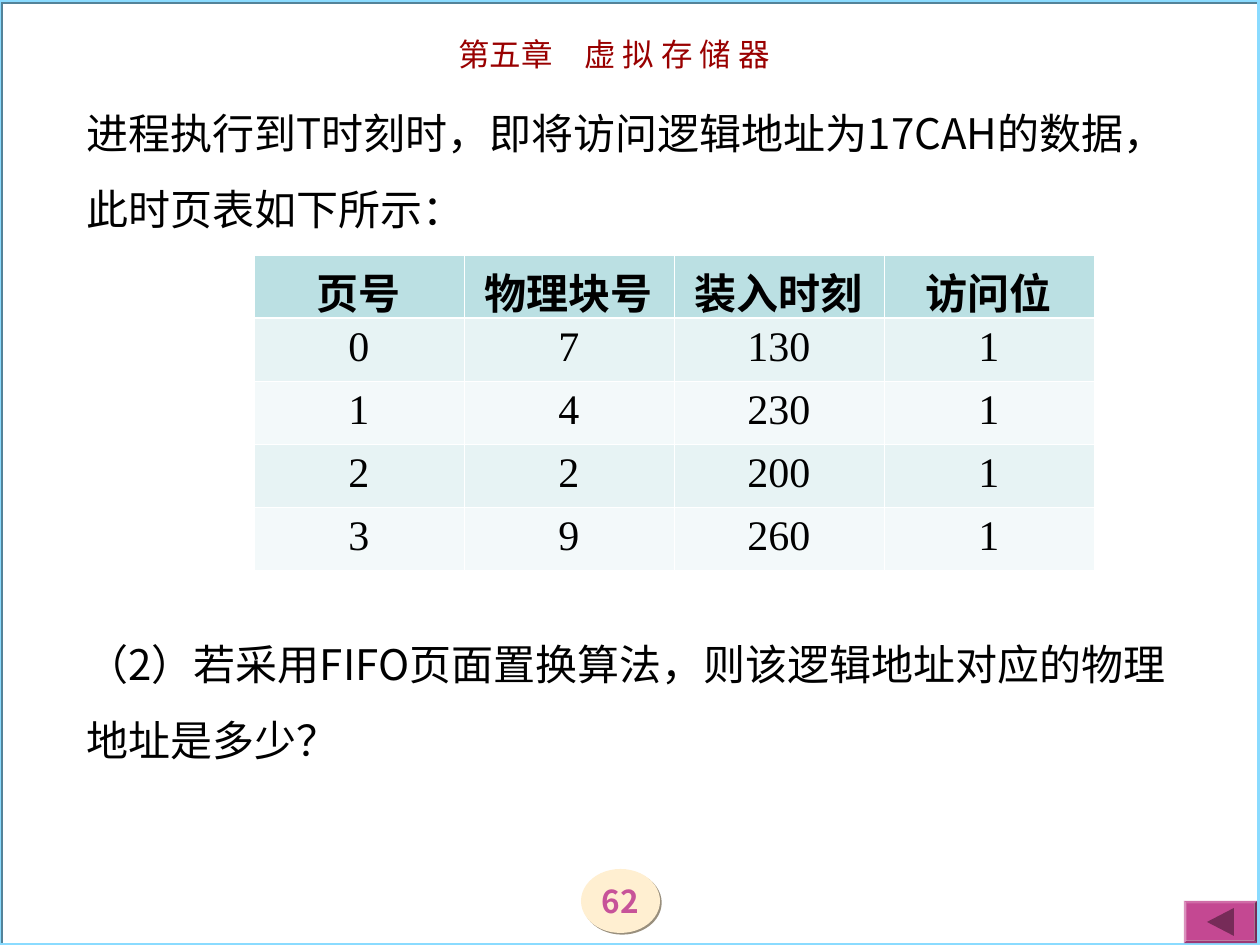
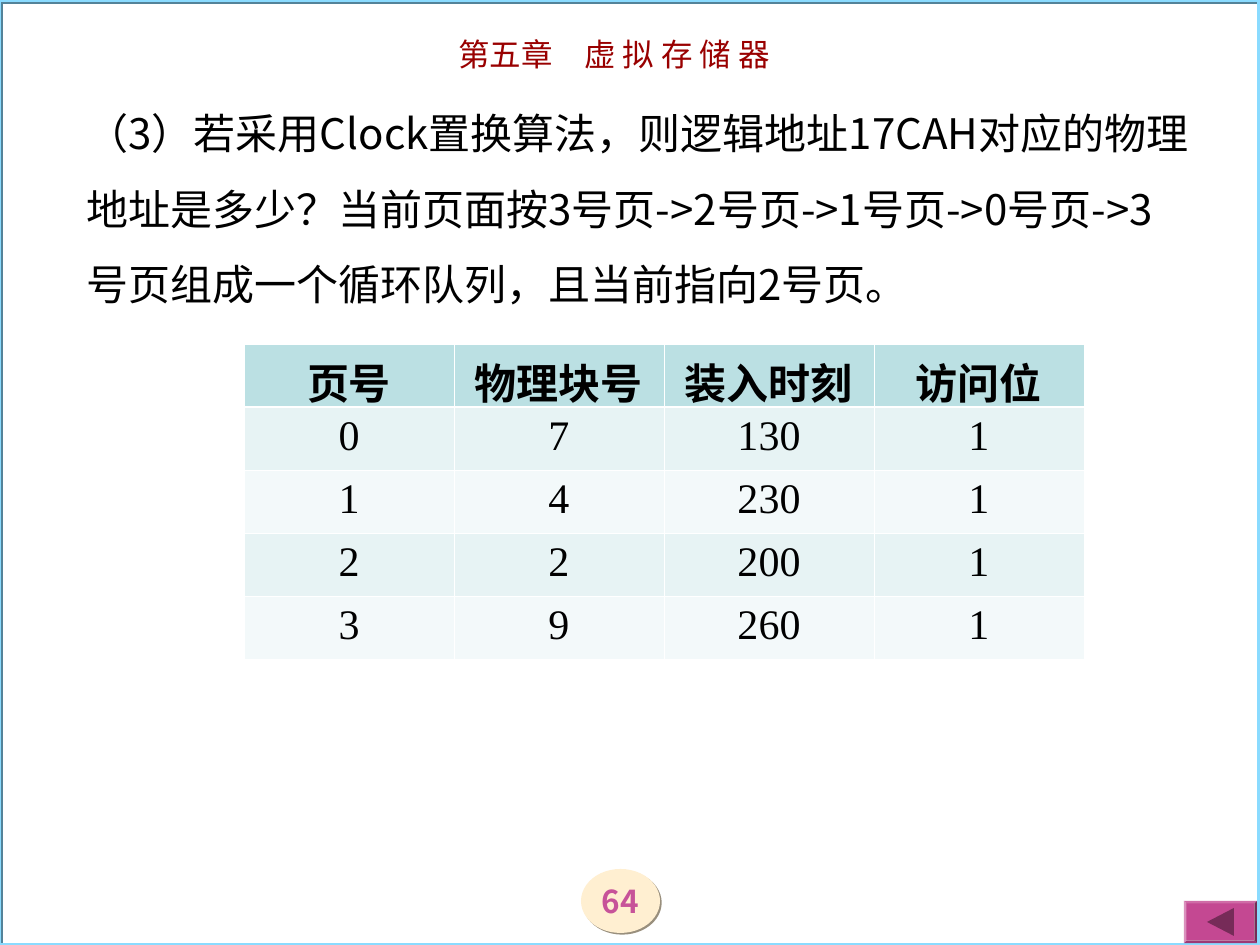
from dataclasses import dataclass

from lxml.etree import SubElement as Sub
from pptx import Presentation
from pptx.dml.color import RGBColor as Color
from pptx.enum.shapes import MSO_SHAPE as Shape
from pptx.enum.text import MSO_ANCHOR as Anchor, MSO_AUTO_SIZE as Fit, PP_ALIGN as Align
from pptx.oxml.ns import qn
from pptx.util import Emu, Pt

WHITE = Color(0xFF, 0xFF, 0xFF)
BLACK = Color(0x00, 0x00, 0x00)
RED = Color(0x99, 0x00, 0x00)
CREAM = Color(0xFF, 0xEF, 0xD1)
TAN = Color(0x99, 0x8F, 0x7D)
PINK = Color(0xC7, 0x53, 0x99)
ROSE = Color(0xC4, 0x48, 0x92)
PLUM = Color(0x76, 0x2B, 0x58)
SKY = Color(0x8A, 0xDB, 0xFF)
STEEL = Color(0x53, 0x83, 0x99)
TEAL = Color(0xBB, 0xE0, 0xE3)
BANDS = (Color(0xF3, 0xF9, 0xFA), Color(0xE7, 0xF3, 0xF4))

SANS = "Noto Sans CJK SC"
GOTHIC = "Noto Sans CJK JP"
SERIF = "Times New Roman"

CHAPTER = "第五章　虚 拟 存 储 器"
ROWS = (
    ("页号", "物理块号", "装入时刻", "访问位"),
    ("0", "7", "130", "1"),
    ("1", "4", "230", "1"),
    ("2", "2", "200", "1"),
    ("3", "9", "260", "1"),
)
COL, ROW = 210, 63
THIN, THICK = 0.45, 1.47


@dataclass
class Box:
    left: int
    top: int
    width: int
    height: int

    def emu(self) -> tuple:
        return tuple(map(px, (self.left, self.top, self.width, self.height)))


@dataclass
class Page:
    number: str
    lines: tuple
    table: tuple


FRAME = Box(-1, 0, 1260, 945)
BADGE = Box(581, 869, 79, 64)
HEAD = Box(262, 29, 704, 50)
BODY = Box(74, 76, 1131, 784)
BUTTON = Box(1184, 901, 73, 42)
ARROW = ((1207, 922), (1234, 908), (1234, 936))

PAGES = (
    Page("62", (
        "进程执行到T时刻时，即将访问逻辑地址为17CAH的数据，此时页表如下所示：",
        "（2）若采用FIFO页面置换算法，则该逻辑地址对应的物理地址是多少？",
    ), (254, 255)),
    Page("64", (
        "（3）若采用Clock置换算法，则逻辑地址17CAH对应的物理地址是多少？"
        "当前页面按3号页->2号页->1号页->0号页->3号页组成一个循环队列，且当前指向2号页。",
    ), (244, 344)),
)


def px(count: int) -> Emu:
    return Emu(round(count * 914400 / 126))


def write(frame, *lines: str, size: int = 24, font: str = SANS, asian: str = SANS,
          color: Color = BLACK, bold: bool = False, align=Align.CENTER,
          anchor=Anchor.TOP, space: float = 1, gap: int = 0) -> None:
    frame.word_wrap = True
    frame.vertical_anchor = anchor
    for i, line in enumerate(lines):
        para = frame.add_paragraph() if i else frame.paragraphs[0]
        para.alignment = align
        para.line_spacing = space
        if i:
            para.space_before = Pt(gap)
        run = para.add_run()
        run.text = line
        run.font.size = Pt(size)
        run.font.name = font
        run.font.bold = bold
        run.font.color.rgb = color
        Sub(run.font._element, qn("a:ea"), typeface=asian)


def paint(shape, fill: Color | None = None, line: Color | None = None,
          width: float = 0, shade: Color | None = None):
    shape.shadow.inherit = False
    if fill is None:
        shape.fill.background()
    else:
        shape.fill.solid()
        shape.fill.fore_color.rgb = fill
    if line is None:
        shape.line.fill.background()
    else:
        shape.line.color.rgb = line
        shape.line.width = Pt(width)
    if shade is not None:
        effects = shape._element.spPr.find(qn("a:effectLst"))
        outer = Sub(effects, qn("a:outerShdw"), dist=str(Pt(1.4)), dir="2700000",
                    algn="ctr", rotWithShape="0")
        Sub(outer, qn("a:srgbClr"), val=str(shade))
    return shape


def border(cell, side: str, width: float) -> None:
    edge = Sub(cell._tc.get_or_add_tcPr(), qn(f"a:ln{side}"), w=str(Pt(width)))
    Sub(Sub(edge, qn("a:solidFill")), qn("a:srgbClr"), val=str(WHITE))


def base(slide, number: str) -> None:
    shapes = slide.shapes
    badge = paint(shapes.add_shape(Shape.OVAL, *BADGE.emu()), CREAM, shade=TAN)
    text = badge.text_frame
    text.margin_left = text.margin_right = text.margin_top = text.margin_bottom = 0
    write(text, number, size=18, color=PINK, bold=True, anchor=Anchor.MIDDLE)
    paint(shapes.add_shape(Shape.RECTANGLE, *FRAME.emu()), line=SKY, width=2.25, shade=STEEL)
    head = shapes.add_textbox(*HEAD.emu())
    write(head.text_frame, CHAPTER, size=18, font=GOTHIC, asian=GOTHIC, color=RED)
    button = paint(shapes.add_shape(Shape.BEVEL, *BUTTON.emu()), ROSE)
    button.adjustments[0] = 0.06
    start, *rest = [tuple(map(px, point)) for point in ARROW]
    path = shapes.build_freeform(*start)
    path.add_line_segments(rest, close=True)
    paint(path.convert_to_shape(), PLUM)


def body(slide, lines: tuple) -> None:
    title = slide.shapes.title
    title.left, title.top, title.width, title.height = BODY.emu()
    write(title.text_frame, *lines, align=Align.LEFT, space=1.5, gap=217)
    title.text_frame.auto_size = Fit.NONE


def grid(slide, left: int, top: int) -> None:
    box = Box(left, top, COL * len(ROWS[0]), ROW * len(ROWS))
    table = slide.shapes.add_table(len(ROWS), len(ROWS[0]), *box.emu()).table
    for r, row in enumerate(ROWS):
        for c, value in enumerate(row):
            cell = table.cell(r, c)
            write(cell.text_frame, value, font=SERIF, bold=r == 0)
            border(cell, "L", THIN)
            border(cell, "R", THIN)
            border(cell, "T", THICK if r == 1 else THIN)
            border(cell, "B", THICK if r == 0 else THIN)
            cell.fill.solid()
            cell.fill.fore_color.rgb = BANDS[r % 2] if r else TEAL


def main() -> None:
    deck = Presentation()
    deck.slide_width, deck.slide_height = px(1260), px(945)
    for page in PAGES:
        slide = deck.slides.add_slide(deck.slide_layouts[5])
        base(slide, page.number)
        body(slide, page.lines)
        grid(slide, *page.table)
    deck.save("out.pptx")


if __name__ == "__main__":
    main()
